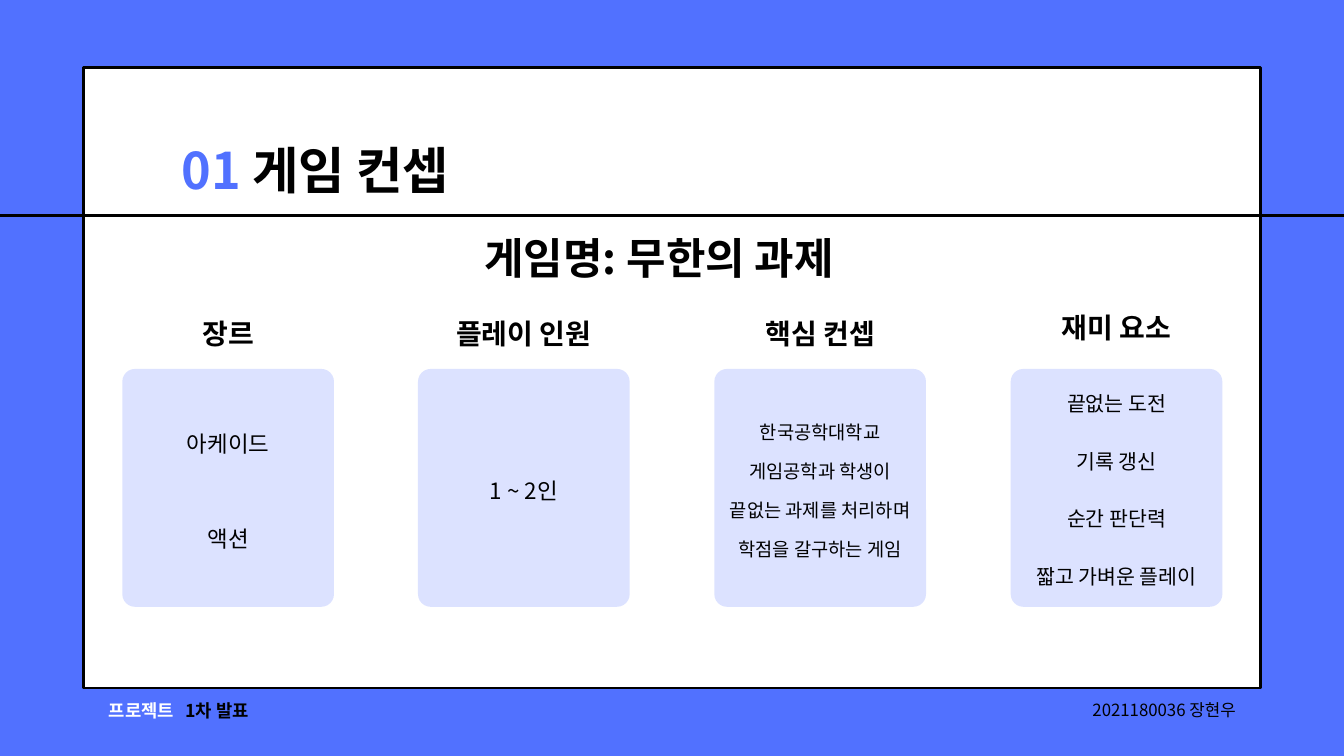
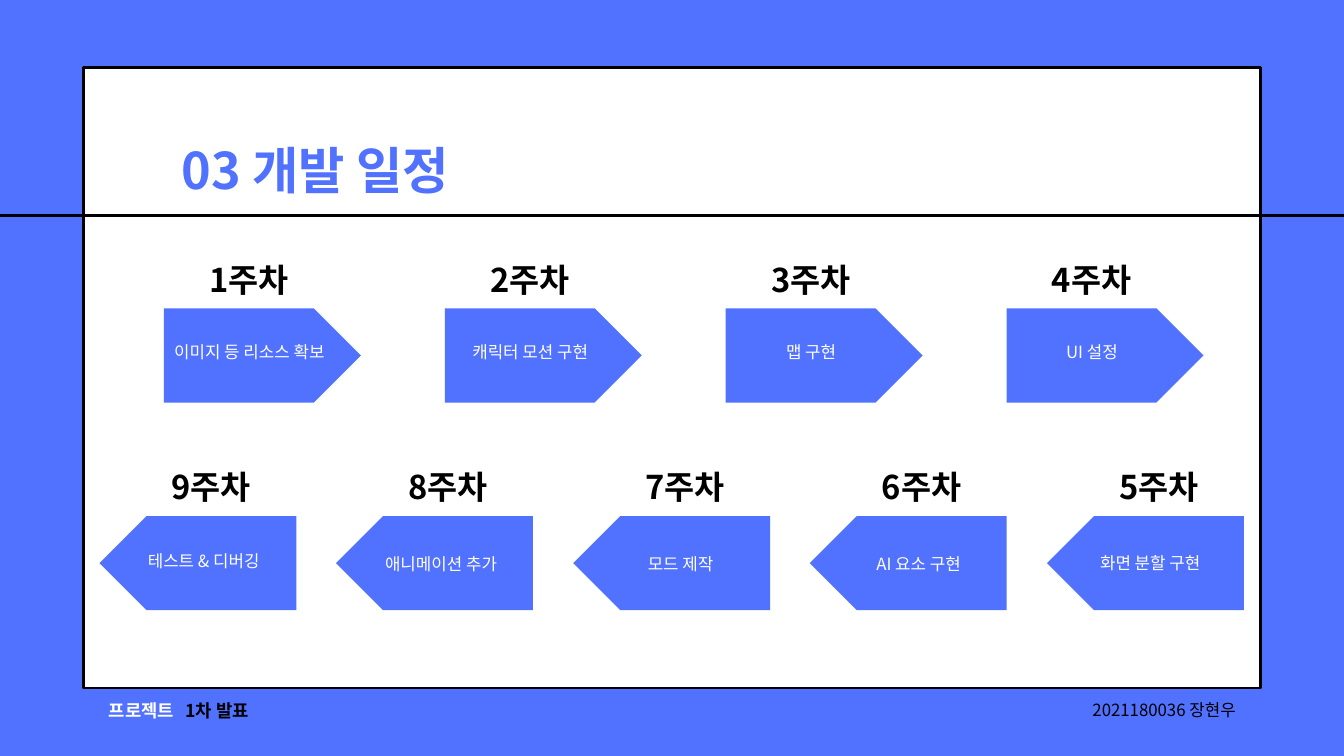
"""Builds two slides on a game project: its concept and its nine-week schedule."""
from lxml.etree import SubElement
from pptx import Presentation
from pptx.dml.color import RGBColor
from pptx.enum.shapes import MSO_CONNECTOR, MSO_SHAPE
from pptx.enum.text import MSO_ANCHOR, MSO_AUTO_SIZE, PP_ALIGN
from pptx.oxml.ns import qn
from pptx.util import Pt

PX = 9144
WIDTH, HEIGHT = 2000, 1125
FONT = "Noto Sans CJK KR"
COLORS = {"blue": "5171FF", "black": "000000", "white": "FFFFFF"}

PANEL = (124, 101, 1752, 923)
RULE_Y = 321
TITLE_BOX = (270, 192, 753, 100)
FOOTERS = [
    ("프로젝트", (162, 1036, 164, 35), "white", 19, True, PP_ALIGN.LEFT),
    ("1차 발표", (276, 1036, 113, 35), "black", 19, True, PP_ALIGN.LEFT),
    ("2021180036 장현우", (1485, 1036, 354, 34), "black", 18, False, PP_ALIGN.RIGHT),
]

CONCEPT_TITLE = [("01 ", "blue"), ("게임 컨셉", "black")]
GAME_NAME = "게임명: 무한의 과제"
CONCEPTS = [
    {"heading": "장르", "heading_top": 462, "top": 634, "height": 181,
     "size": 24, "gap": 67.2, "lines": ["아케이드", "액션"]},
    {"heading": "플레이 인원", "heading_top": 462, "top": 703, "height": 43,
     "size": 24, "gap": 0, "lines": ["1 ~ 2인"]},
    {"heading": "핵심 컨셉", "heading_top": 462, "top": 620, "height": 209,
     "size": 20, "gap": 14,
     "lines": ["한국공학대학교", "게임공학과 학생이", "끝없는 과제를 처리하며",
               "학점을 갈구하는 게임"]},
    {"heading": "재미 요소", "heading_top": 453, "top": 576, "height": 297,
     "size": 22, "gap": 30.8,
     "lines": ["끝없는 도전", "기록 갱신", "순간 판단력", "짧고 가벼운 플레이"]},
]
CARD_TOP, CARD_WIDTH, CARD_HEIGHT = 549, 315, 354
CARD_LEFTS = (182, 1504)

SCHEDULE_TITLE = [("03 개발 일정", "blue")]
FORWARD_WEEKS = [
    ("1주차", "이미지 등 리소스 확보"),
    ("2주차", "캐릭터 모션 구현"),
    ("3주차", "맵 구현"),
    ("4주차", "UI 설정"),
]
BACKWARD_WEEKS = [
    ("9주차", "테스트 & 디버깅", (220, 814, 190, 34)),
    ("8주차", "애니메이션 추가", (573, 819, 190, 34)),
    ("7주차", "모드 제작", (964, 819, 117, 34)),
    ("6주차", "AI 요소 구현", (1304, 819, 138, 34)),
    ("5주차", "화면 분할 구현", (1637, 818, 175, 34)),
]
FORWARD_LEFTS, FORWARD_TOP = (244, 1498), 459
BACKWARD_LEFTS, BACKWARD_TOP = (148, 1558), 768
ARROW_WIDTH, ARROW_HEIGHT = 293, 140
WEEK_WIDTH, WEEK_HEIGHT, WEEK_RISE = 253, 57, 71


def emu(*lengths):
    return [round(length * PX) for length in lengths]


def rgb(color):
    return RGBColor.from_string(COLORS[color])


def spread(ends, count):
    first, last = ends
    return [first + (last - first) * i // (count - 1) for i in range(count)]


def add_text(slide, box, paragraphs, size, bold=False, align=PP_ALIGN.LEFT,
             leading=1.4, gap=0, middle=False):
    frame = slide.shapes.add_textbox(*emu(*box)).text_frame
    frame.word_wrap = True
    frame.auto_size = MSO_AUTO_SIZE.NONE if middle else MSO_AUTO_SIZE.SHAPE_TO_FIT_TEXT
    frame.vertical_anchor = MSO_ANCHOR.MIDDLE if middle else MSO_ANCHOR.TOP
    inset = 6 * PX if middle else 0
    frame.margin_left = frame.margin_right = inset
    frame.margin_top = frame.margin_bottom = inset
    for i, runs in enumerate(paragraphs):
        paragraph = frame.add_paragraph() if i else frame.paragraphs[0]
        paragraph.alignment = align
        paragraph.line_spacing = Pt(size * leading)
        if i and gap:
            paragraph.space_before = Pt(gap)
        for text, color in runs:
            run = paragraph.add_run()
            run.text = text
            run.font.size = Pt(size)
            run.font.bold = bold
            run.font.color.rgb = rgb(color)
            run.font.name = FONT
            SubElement(run.font._element, qn("a:ea"), typeface=FONT)


def add_block(slide, preset, box, fill, adjustment=None, outline=None):
    block = slide.shapes.add_shape(preset, *emu(*box))
    block.shadow.inherit = False
    block.fill.solid()
    block.fill.fore_color.rgb = rgb(fill)
    if adjustment is not None:
        block.adjustments[0] = adjustment
    if outline:
        block.line.color.rgb = rgb(outline)
        block.line.width = Pt(3)
    else:
        block.line.fill.background()
    return block


def add_framed_slide(deck, title):
    slide = deck.slides.add_slide(deck.slide_layouts[6])
    slide.background.fill.solid()
    slide.background.fill.fore_color.rgb = rgb("blue")
    add_block(slide, MSO_SHAPE.RECTANGLE, PANEL, "white", outline="black")
    add_text(slide, TITLE_BOX, [title], 54, bold=True)
    rule = slide.shapes.add_connector(
        MSO_CONNECTOR.STRAIGHT, *emu(0, RULE_Y, WIDTH, RULE_Y))
    rule.line.color.rgb = rgb("black")
    rule.line.width = Pt(3)
    SubElement(rule._element.spPr, qn("a:effectLst"))
    for text, box, color, size, bold, align in FOOTERS:
        add_text(slide, box, [[(text, color)]], size, bold, align)
    return slide


def add_card(slide, left, concept):
    card = add_block(slide, MSO_SHAPE.ROUNDED_RECTANGLE,
                     (left, CARD_TOP, CARD_WIDTH, CARD_HEIGHT), "blue", 0.06)
    tint = card._element.spPr.find(qn("a:solidFill"))[0]
    SubElement(tint, qn("a:alpha"), val="20000")
    add_text(slide, (left, concept["heading_top"], CARD_WIDTH, 55),
             [[(concept["heading"], "black")]], 30, True, PP_ALIGN.CENTER)
    add_text(slide, (left, concept["top"], CARD_WIDTH, concept["height"]),
             [[(line, "black")] for line in concept["lines"]],
             concept["size"], align=PP_ALIGN.CENTER, gap=concept["gap"])


def add_week(slide, week, week_left, arrow_left, top):
    add_text(slide, (week_left, top - WEEK_RISE, WEEK_WIDTH, WEEK_HEIGHT),
             [[(week, "black")]], 35, True, PP_ALIGN.CENTER, leading=1.16)
    return add_block(slide, MSO_SHAPE.PENTAGON,
                     (arrow_left, top, ARROW_WIDTH, ARROW_HEIGHT), "blue", 0.5)


def build_concept(deck):
    slide = add_framed_slide(deck, CONCEPT_TITLE)
    for left, concept in zip(spread(CARD_LEFTS, len(CONCEPTS)), CONCEPTS):
        add_card(slide, left, concept)
    add_text(slide, (721, 332, 577, 86), [[(GAME_NAME, "black")]], 46, True)


def build_schedule(deck):
    slide = add_framed_slide(deck, SCHEDULE_TITLE)
    forward_lefts = spread(FORWARD_LEFTS, len(FORWARD_WEEKS))
    for left, (week, task) in zip(forward_lefts, FORWARD_WEEKS):
        add_week(slide, week, left, left, FORWARD_TOP)
        add_text(slide, (left, FORWARD_TOP - 14, 254, 153), [[(task, "white")]],
                 18, align=PP_ALIGN.CENTER, middle=True)
    backward_lefts = spread(BACKWARD_LEFTS, len(BACKWARD_WEEKS))
    for left, (week, task, task_box) in zip(backward_lefts, BACKWARD_WEEKS):
        week_left = left + ARROW_WIDTH - WEEK_WIDTH
        arrow = add_week(slide, week, week_left, left, BACKWARD_TOP)
        arrow.rotation = 180
        add_text(slide, task_box, [[(task, "white")]], 18)


def main():
    deck = Presentation()
    deck.slide_width, deck.slide_height = emu(WIDTH, HEIGHT)
    build_concept(deck)
    build_schedule(deck)
    deck.save("out.pptx")


if __name__ == "__main__":
    main()
